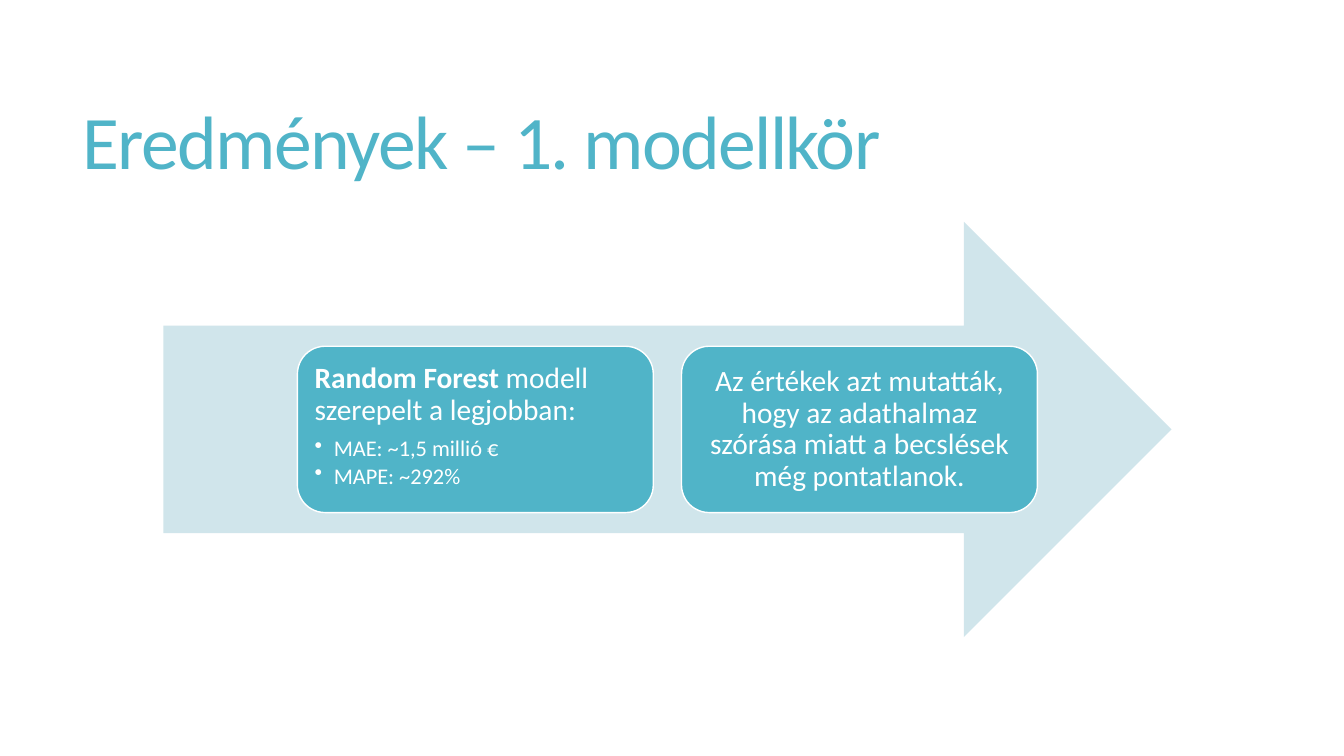
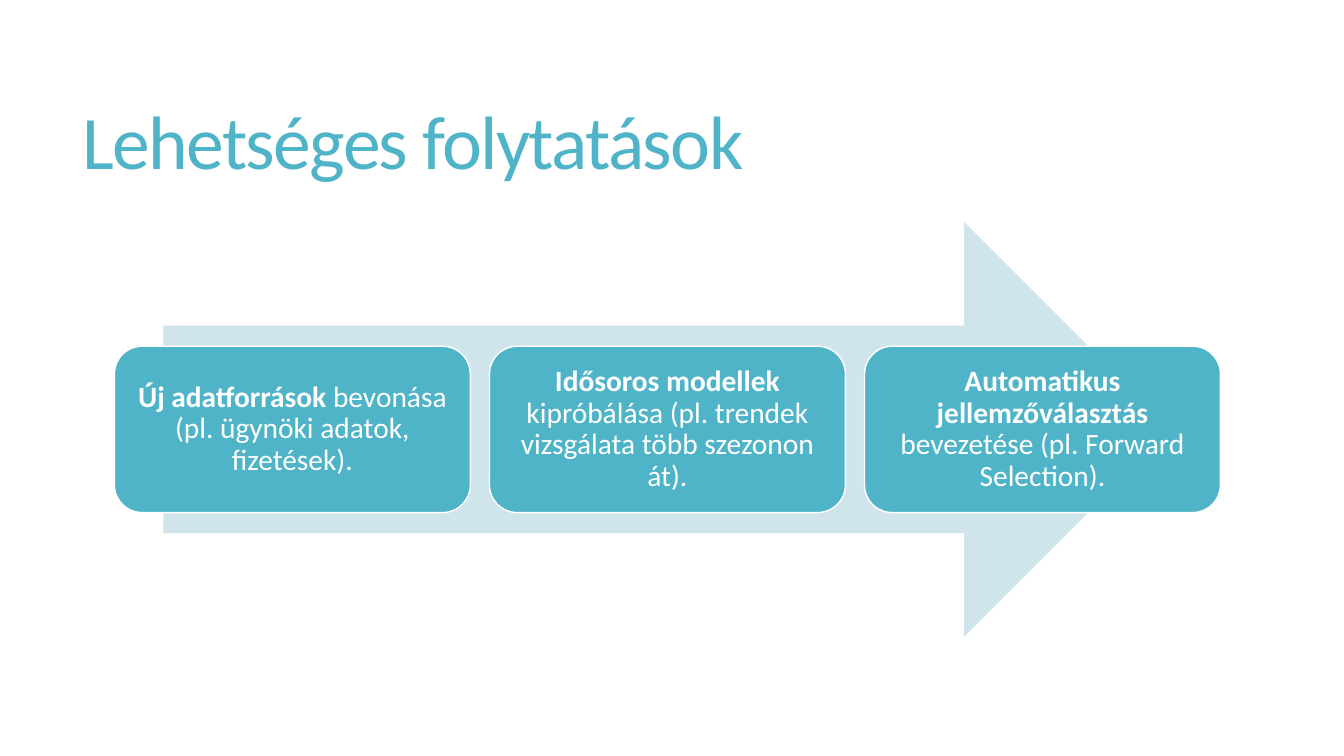
from lxml import etree
from pptx import Presentation
from pptx.dml.color import RGBColor
from pptx.enum.shapes import MSO_SHAPE
from pptx.enum.text import MSO_ANCHOR, PP_ALIGN
from pptx.oxml.ns import qn
from pptx.util import Inches, Pt

COLORS = {"accent": "50B4C8", "arrow": "D0E5EB", "white": "FFFFFF"}
FONT = "Calibri"
ARROW_LEFT, ARROW_TOP, ARROW_WIDTH, ARROW_HEIGHT = 1.62, 2.2, 10, 4.12
BOX_WIDTH, BOX_HEIGHT = 3.53, 1.65
BOX_TOP = ARROW_TOP + (ARROW_HEIGHT - BOX_HEIGHT) / 2

# Each box has a bold lead, the text after it and a list of bullets.
SLIDES = [
    {
        "title": "Eredmények – 1. modellkör",
        "gap": 0.28,
        "boxes": [
            ("Random Forest", " modell szerepelt a legjobban:",
             ["MAE: ~1,5 millió €", "MAPE: ~292%"]),
            ("", "Az értékek azt mutatták, hogy az adathalmaz szórása miatt "
                 "a becslések még pontatlanok.", []),
        ],
    },
    {
        "title": "Lehetséges folytatások",
        "gap": 0.19,
        "boxes": [
            ("Új adatforrások", " bevonása (pl. ügynöki adatok, fizetések).", []),
            ("Idősoros modellek",
             " kipróbálása (pl. trendek vizsgálata több szezonon át).", []),
            ("Automatikus jellemzőválasztás",
             " bevezetése (pl. Forward Selection).", []),
        ],
    },
]


def add_run(paragraph, text, size, color, bold=False):
    run = paragraph.add_run()
    run.text = text
    run.font.name = FONT
    run.font.size = Pt(size)
    run.font.bold = bold
    run.font.color.rgb = RGBColor.from_string(COLORS[color])
    return run


def add_filled_shape(slide, preset, left, top, width, height, color):
    shape = slide.shapes.add_shape(
        preset, Inches(left), Inches(top), Inches(width), Inches(height))
    shape.shadow.inherit = False
    shape.fill.solid()
    shape.fill.fore_color.rgb = RGBColor.from_string(COLORS[color])
    shape.line.fill.background()
    return shape


presentation = Presentation()
presentation.slide_width = Inches(13.33)
presentation.slide_height = Inches(7.5)

for content in SLIDES:
    slide = presentation.slides.add_slide(presentation.slide_layouts[6])

    title = slide.shapes.add_textbox(
        Inches(0.72), Inches(0.55), Inches(11.78), Inches(1.81))
    title.text_frame.word_wrap = True
    title.text_frame.vertical_anchor = MSO_ANCHOR.MIDDLE
    paragraph = title.text_frame.paragraphs[0]
    paragraph.line_spacing = 0.85
    run = add_run(paragraph, content["title"], 54, "accent")
    run.font._element.set("spc", "-120")

    add_filled_shape(slide, MSO_SHAPE.RIGHT_ARROW, ARROW_LEFT, ARROW_TOP,
                     ARROW_WIDTH, ARROW_HEIGHT, "arrow")

    # The row of boxes is centred on the arrow.
    pitch = BOX_WIDTH + content["gap"]
    row_width = len(content["boxes"]) * pitch - content["gap"]
    row_left = ARROW_LEFT + (ARROW_WIDTH - row_width) / 2
    for index, (lead, text, bullets) in enumerate(content["boxes"]):
        box = add_filled_shape(slide, MSO_SHAPE.ROUNDED_RECTANGLE,
                               row_left + index * pitch, BOX_TOP,
                               BOX_WIDTH, BOX_HEIGHT, "accent")
        box.line.color.rgb = RGBColor.from_string(COLORS["white"])
        box.line.width = Pt(1)

        frame = box.text_frame
        frame.word_wrap = True
        frame.margin_left = frame.margin_right = Inches(0.09)
        frame.margin_top = frame.margin_bottom = Inches(0.09)
        frame.vertical_anchor = MSO_ANCHOR.TOP if bullets else MSO_ANCHOR.MIDDLE

        paragraph = frame.paragraphs[0]
        paragraph.alignment = PP_ALIGN.LEFT if bullets else PP_ALIGN.CENTER
        paragraph.line_spacing = 0.9
        paragraph.space_after = Pt(7.35)
        if lead:
            add_run(paragraph, lead, 21, "white", bold=True)
        add_run(paragraph, text, 21, "white")

        for bullet in bullets:
            paragraph = frame.add_paragraph()
            paragraph.level = 1
            paragraph.alignment = PP_ALIGN.LEFT
            paragraph.line_spacing = 0.9
            paragraph.space_after = Pt(2.4)
            add_run(paragraph, bullet, 16, "white")
            properties = paragraph._p.get_or_add_pPr()
            properties.set("marL", str(Inches(0.19)))
            properties.set("indent", str(-Inches(0.19)))
            etree.SubElement(properties, qn("a:buChar")).set("char", "•")

presentation.save("out.pptx")
